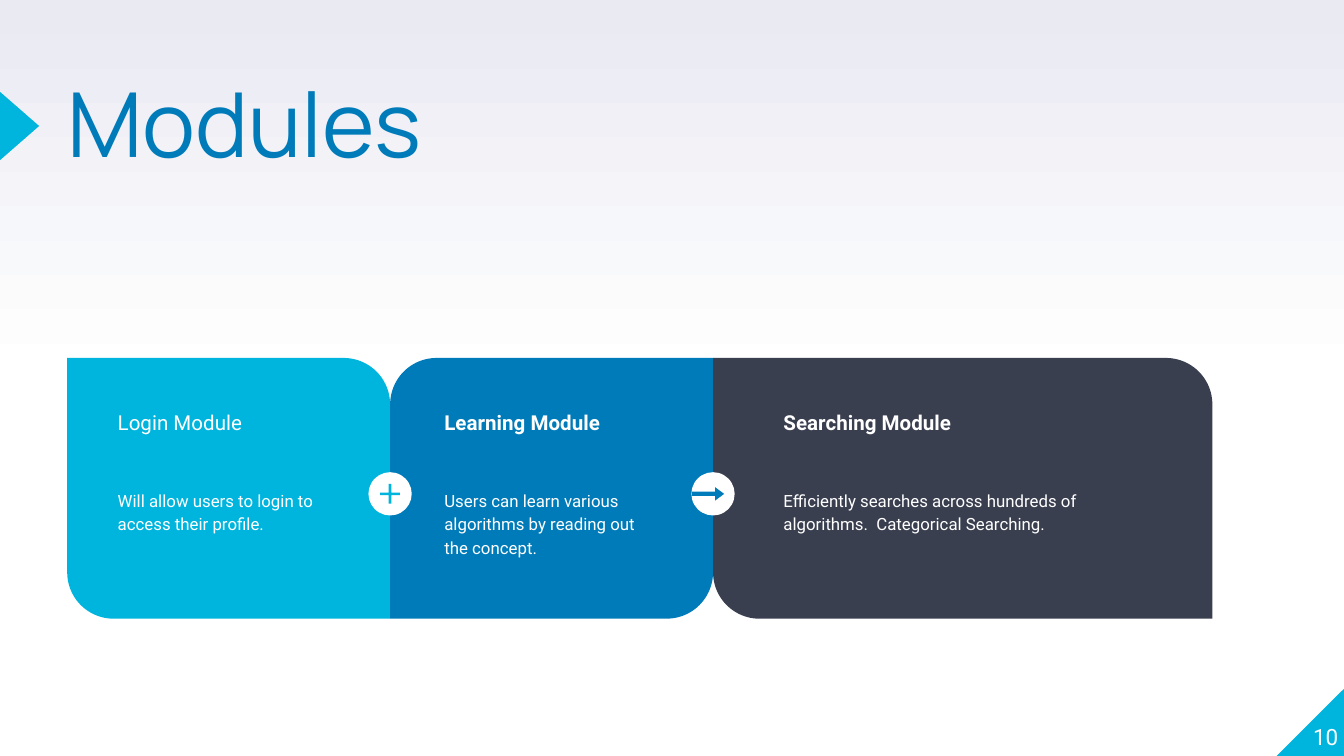
"""Build the Modules slide: three joined cards with a plus and an arrow between them."""
from pptx import Presentation
from pptx.dml.color import RGBColor
from pptx.enum.shapes import MSO_SHAPE
from pptx.enum.text import MSO_ANCHOR, PP_ALIGN
from pptx.util import Pt

COLORS = {"cyan": "00B5DD", "blue": "007BB9", "slate": "3A3F50",
          "white": "FFFFFF", "lavender": "E9EAF2"}

CARDS = [
    {"title": "Login Module", "bold": False, "color": "cyan",
     "body": "Will allow users to login to access their profile.",
     "width": 173, "indent": 20, "text_width": 130, "corners": (0, 0.178)},
    {"title": "Learning Module", "bold": True, "color": "blue",
     "body": "Users can learn various algorithms by reading out the concept.",
     "width": 173, "indent": 22, "text_width": 130, "corners": (0.178, 0)},
    {"title": "Searching Module", "bold": True, "color": "slate",
     "body": "Efficiently searches across hundreds of algorithms.  Categorical Searching.",
     "width": 267.5, "indent": 30.6, "text_width": 215.3, "corners": (0, 0.178)},
]
BADGES = [
    {"symbol": MSO_SHAPE.MATH_PLUS, "size": (14.4, 14.4), "shift": 0,
     "color": "cyan", "adjustments": (0.099,)},
    {"symbol": MSO_SHAPE.RIGHT_ARROW, "size": (17.3, 7.2), "shift": -2.7,
     "color": "blue", "adjustments": (0.32, 0.67)},
]

CARD_LEFT, CARD_TOP, CARD_HEIGHT = 36, 191.8, 139.7
TITLE_TOP, TITLE_HEIGHT, BODY_HEIGHT = 213.2, 41, 45.4
BADGE_SIZE, BADGE_MIDDLE = 23.2, 264.6

TITLE_FONT = {"name": "Manrope", "size": Pt(48)}
NUMBER_FONT = {"name": "Roboto", "size": Pt(12)}
CARD_TITLE_FONT = {"name": "Roboto", "size": Pt(11)}
CARD_BODY_FONT = {"name": "Roboto", "size": Pt(9)}
CARD_BODY_PARAGRAPH = {"line_spacing": 1.15, "space_after": Pt(16)}


def rgb(name):
    return RGBColor.from_string(COLORS[name])


def set_attributes(target, values):
    for name, value in values.items():
        setattr(target, name, value)


def add_shape(slide, kind, box, color, adjustments=(), rotation=0):
    shape = slide.shapes.add_shape(kind, *map(Pt, box))
    shape.shadow.inherit = False
    shape.fill.solid()
    shape.fill.fore_color.rgb = rgb(color)
    shape.line.fill.background()
    shape.rotation = rotation
    for index, value in enumerate(adjustments):
        shape.adjustments[index] = value


def add_text(slide, text, box, font, color="white", margin=0,
             anchor=MSO_ANCHOR.TOP, paragraph_format=None):
    frame = slide.shapes.add_textbox(*map(Pt, box)).text_frame
    set_attributes(frame, {"word_wrap": True, "vertical_anchor": anchor})
    for side in ("left", "top", "right", "bottom"):
        setattr(frame, f"margin_{side}", Pt(margin))
    paragraph = frame.paragraphs[0]
    set_attributes(paragraph, paragraph_format or {})
    run = paragraph.add_run()
    run.text = text
    set_attributes(run.font, font)
    run.font.color.rgb = rgb(color)


def add_background(slide):
    fill = slide.background.fill
    fill.gradient()
    fill.gradient_angle = 90
    stops = [(0.5, "white"), (1, "lavender")]
    for stop, (position, color) in zip(fill.gradient_stops, stops):
        stop.position = position
        stop.color.rgb = rgb(color)


def add_card(slide, card, left):
    add_shape(slide, MSO_SHAPE.ROUND_2_DIAG_RECTANGLE,
              (left, CARD_TOP, card["width"], CARD_HEIGHT), card["color"], card["corners"])
    text_left = left + card["indent"]
    add_text(slide, card["title"], (text_left, TITLE_TOP, card["text_width"], TITLE_HEIGHT),
             {**CARD_TITLE_FONT, "bold": card["bold"]}, margin=7.2)
    add_text(slide, card["body"],
             (text_left, TITLE_TOP + TITLE_HEIGHT, card["text_width"], BODY_HEIGHT),
             CARD_BODY_FONT, margin=7.2, paragraph_format=CARD_BODY_PARAGRAPH)


def add_badge(slide, badge, center):
    def centered(x, width, height):
        return x - width / 2, BADGE_MIDDLE - height / 2, width, height

    add_shape(slide, MSO_SHAPE.OVAL, centered(center, BADGE_SIZE, BADGE_SIZE), "white")
    add_shape(slide, badge["symbol"], centered(center + badge["shift"], *badge["size"]),
              badge["color"], badge["adjustments"])


def main():
    presentation = Presentation()
    set_attributes(presentation, {"slide_width": Pt(720), "slide_height": Pt(405)})
    slide = presentation.slides.add_slide(presentation.slide_layouts[6])
    add_background(slide)
    add_shape(slide, MSO_SHAPE.RIGHT_TRIANGLE, (684, 368.6, 36.4, 36.4), "cyan", rotation=270)
    add_shape(slide, MSO_SHAPE.ISOSCELES_TRIANGLE, (-7.9, 57, 36.7, 21), "cyan", rotation=90)
    add_text(slide, "Modules", (36, 47.5, 444, 85), TITLE_FONT, "blue",
             paragraph_format={"line_spacing": 0.8})
    add_text(slide, "10", (681, 365, 36, 36.7), NUMBER_FONT, anchor=MSO_ANCHOR.BOTTOM,
             paragraph_format={"alignment": PP_ALIGN.RIGHT})

    left = CARD_LEFT
    edges = []
    for card in CARDS:
        add_card(slide, card, left)
        left += card["width"]
        edges.append(left)
    for badge, edge in zip(BADGES, edges):
        add_badge(slide, badge, edge)
    presentation.save("out.pptx")


if __name__ == "__main__":
    main()
